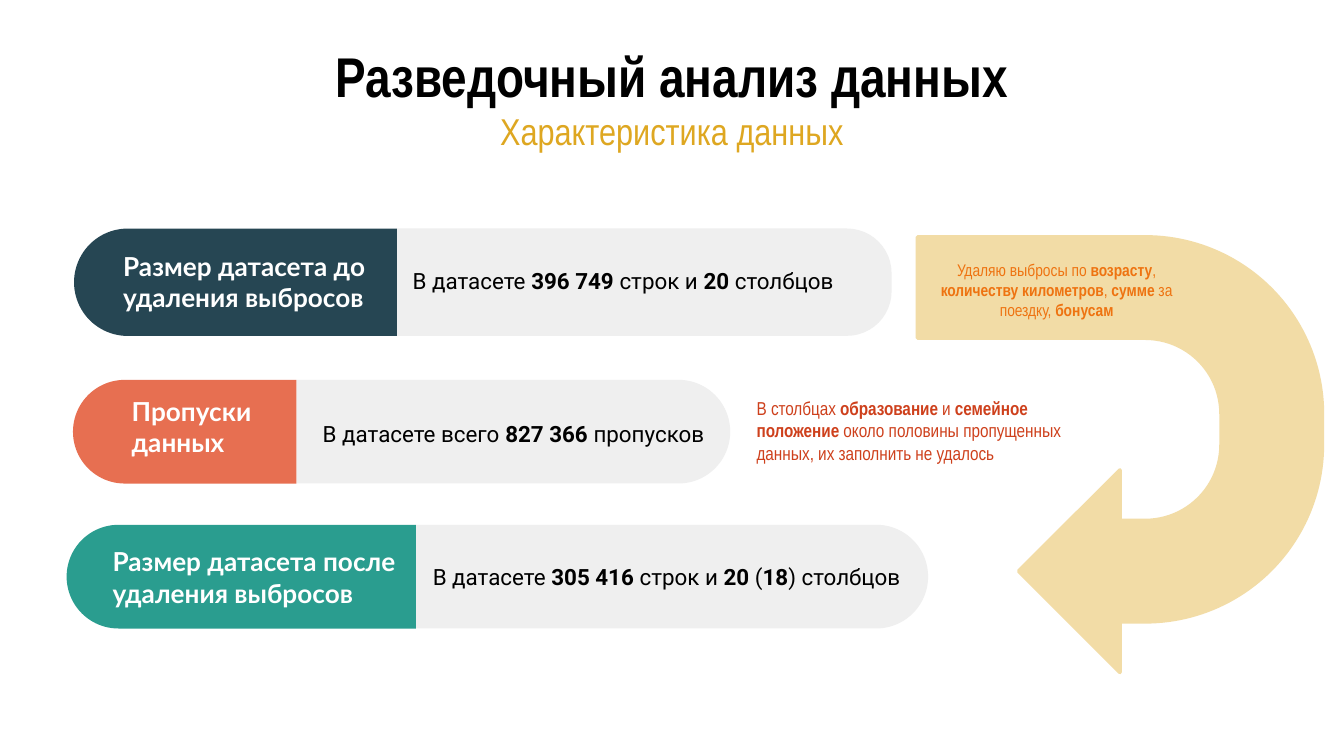
"""Build the slide on exploratory data analysis: dataset size and missing values."""
from pptx import Presentation
from pptx.dml.color import RGBColor
from pptx.enum.shapes import MSO_SHAPE
from pptx.enum.text import MSO_ANCHOR, MSO_AUTO_SIZE, PP_ALIGN
from pptx.util import Cm, Pt

PILL, UTURN = MSO_SHAPE.ROUND_2_SAME_RECTANGLE, MSO_SHAPE.U_TURN_ARROW
MIDDLE, TOP = MSO_ANCHOR.MIDDLE, MSO_ANCHOR.TOP
LEFT, CENTER = PP_ALIGN.LEFT, PP_ALIGN.CENTER
GROW, FIXED = MSO_AUTO_SIZE.SHAPE_TO_FIT_TEXT, MSO_AUTO_SIZE.NONE

BLACK = RGBColor(0x00, 0x00, 0x00)
WHITE = RGBColor(0xFF, 0xFF, 0xFF)
GREY = RGBColor(0xEF, 0xEF, 0xEF)
NAVY = RGBColor(0x26, 0x46, 0x53)
CORAL = RGBColor(0xE7, 0x6F, 0x51)
TEAL = RGBColor(0x2A, 0x9D, 0x8F)
GOLD = RGBColor(0xDE, 0xA7, 0x21)
SAND = RGBColor(0xF2, 0xDC, 0xA6)
RED = RGBColor(0xCE, 0x40, 0x1C)
ORANGE = RGBColor(0xEE, 0x73, 0x11)

TITLE = dict(size=30, name="Arial Narrow", color=BLACK, bold=True, align=CENTER)
SUBTITLE = dict(size=20, name="Arial Narrow", color=GOLD, align=CENTER)
LABEL = dict(size=14, name="Lato", color=WHITE, bold=True)
VALUE = dict(size=12, name="Roboto", color=BLACK, side=0.51, spacing=1.15)
NOTE = dict(name="Arial Narrow", vertical=0.13, anchor=TOP, auto_size=GROW)
GAPS_NOTE = dict(NOTE, size=10, color=RED)
OUTLIERS_NOTE = dict(NOTE, size=9, color=ORANGE, align=CENTER)

ROWS = [
    dict(left=1.4, top=4.32, height=2.03, label_width=6.1, value_width=9.35,
         color=NAVY, round=0.416,
         label=("Размер датасета до удаления выбросов", (2.08, 4.78, 5.74, 1.09)),
         value=("В датасете **396 749 **строк и **20** столбцов",
                (7.29, 4.37, 9.86, 1.78))),
    dict(left=1.38, top=7.18, height=1.96, label_width=4.22, value_width=8.2,
         color=CORAL, round=0.5,
         label=("Пропуски данных", (2.24, 7.52, 2.9, 1.09)),
         value=("В датасете всего **827 366 **пропусков", (5.59, 7.29, 8.48, 1.73))),
    dict(left=1.26, top=9.92, height=1.96, label_width=6.6, value_width=9.68,
         color=TEAL, round=0.5,
         label=("Размер датасета после удаления выбросов", (1.88, 10.36, 6.38, 1.09)),
         value=("В датасете **305 416 **строк и **20** (**18**) столбцов",
                (7.67, 9.91, 9.93, 1.91))),
]
HEADINGS = [
    ("Разведочный анализ данных", (1.27, 0.74, 22.86, 1.35), TITLE),
    ("Характеристика данных", (1.27, 1.8, 22.86, 1.35), SUBTITLE),
]
NOTES = [
    ("В столбцах **образование** и **семейное положение **около половины "
     "пропущенных данных, их заполнить не удалось",
     (14.05, 7.37, 6.55, 1.55), GAPS_NOTE),
    ("Удаляю выбросы по **возрасту**, **количеству километров**, **сумме** "
     "за поездку, **бонусам**", (17.15, 4.78, 5.64, 1.42), OUTLIERS_NOTE),
]
ARROW_BOX = (17.34, 4.48, 7.65, 8.23)


def add_text(slide, text, box, style):
    tf = slide.shapes.add_textbox(*map(Cm, box)).text_frame
    side, vertical = Cm(style.get("side", 0.25)), Cm(style.get("vertical", 0.25))
    frame = dict(word_wrap=True, auto_size=style.get("auto_size", FIXED),
                 vertical_anchor=style.get("anchor", MIDDLE),
                 margin_left=side, margin_right=side,
                 margin_top=vertical, margin_bottom=vertical)
    for name, value in frame.items():
        setattr(tf, name, value)
    p = tf.paragraphs[0]
    p.alignment = style.get("align", LEFT)
    p.line_spacing = style.get("spacing", 1.0)
    for i, part in enumerate(text.split("**")):
        if part:
            r = p.add_run()
            r.text = part
            font = dict(size=Pt(style["size"]), name=style["name"],
                        bold=style.get("bold", i % 2 == 1))
            for name, value in font.items():
                setattr(r.font, name, value)
            r.font.color.rgb = style["color"]


def add_turned(slide, kind, box, rotation, color):
    left, top, width, height = box
    shift = (width - height) / 2
    sp = slide.shapes.add_shape(kind, Cm(left + shift), Cm(top - shift),
                                Cm(height), Cm(width))
    sp.rotation = rotation
    sp.shadow.inherit = False
    sp.fill.solid()
    sp.fill.fore_color.rgb = color
    sp.line.fill.background()
    return sp


def add_row(slide, row):
    left, top, height = row["left"], row["top"], row["height"]
    split = left + row["label_width"]
    value = add_turned(slide, PILL, (split, top, row["value_width"], height), 90, GREY)
    label = add_turned(slide, PILL, (left, top, row["label_width"], height), 270,
                       row["color"])
    for sp, radius in ((value, row["round"]), (label, 0.5)):
        sp.adjustments[0] = radius
        sp.adjustments[1] = 0
    add_text(slide, *row["value"], VALUE)
    add_text(slide, *row["label"], LABEL)


def main():
    prs = Presentation()
    prs.slide_width, prs.slide_height = Cm(25.4), Cm(14.29)
    s = prs.slides.add_slide(prs.slide_layouts[6])
    for heading in HEADINGS:
        add_text(s, *heading)
    for row in ROWS:
        add_row(s, row)
    arrow = add_turned(s, UTURN, ARROW_BOX, 90, SAND)
    arrow.line.color.rgb = SAND
    arrow.line.width = Pt(2)
    for note in NOTES:
        add_text(s, *note)
    prs.save("out.pptx")


if __name__ == "__main__":
    main()
